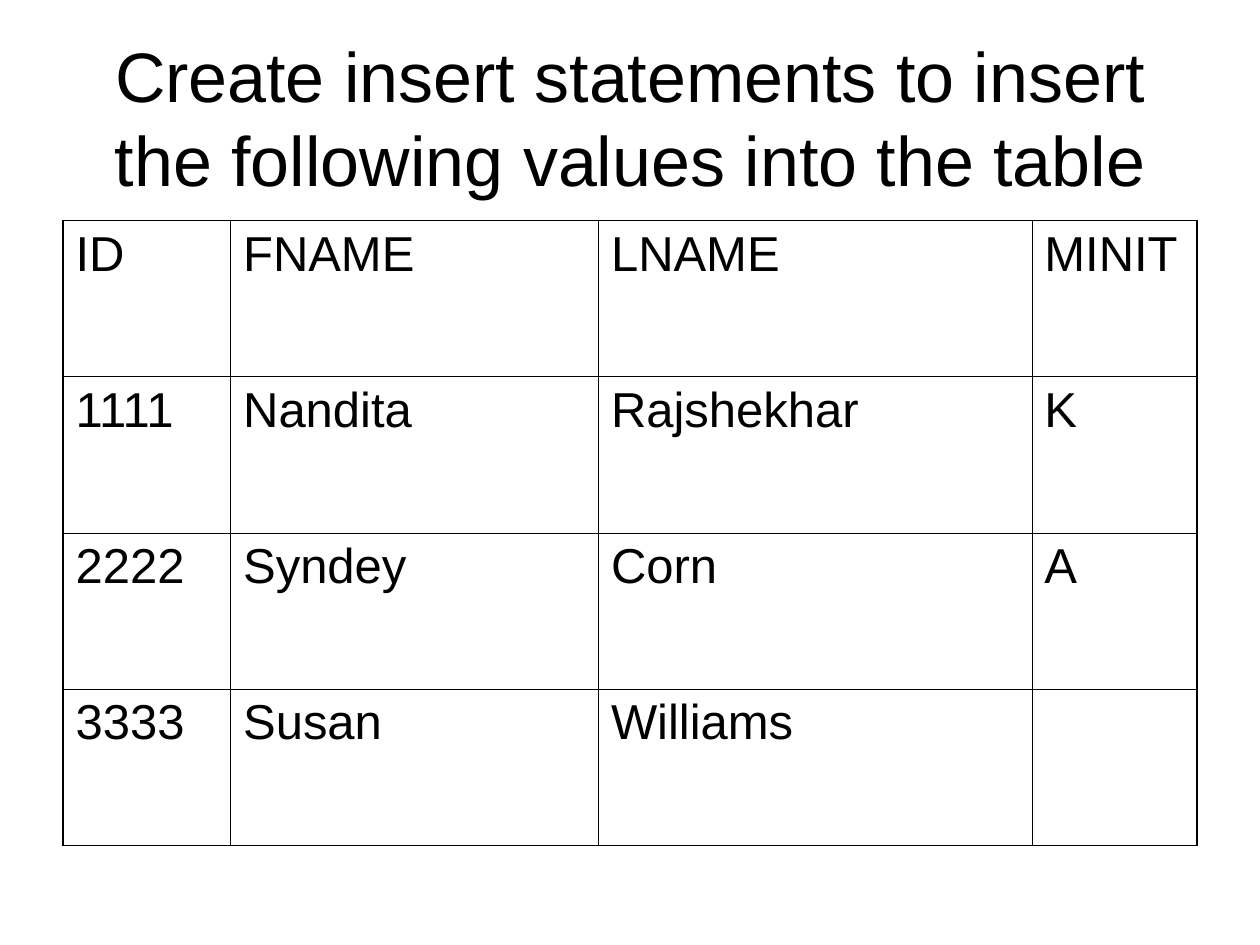
from dataclasses import dataclass

from lxml.etree import SubElement
from pptx import Presentation
from pptx.dml.color import RGBColor
from pptx.enum.text import MSO_ANCHOR, MSO_AUTO_SIZE, PP_ALIGN
from pptx.oxml.ns import qn
from pptx.util import Inches, Pt


@dataclass(frozen=True)
class Theme:
    font: str = "Arial"
    ink: str = "000000"
    title_size: int = 40
    cell_size: int = 28
    outer_line: float = 1.08
    inner_line: float = 0.45


THEME = Theme()
TITLE = "Create insert statements to insert the following values into the table"
ROWS = [
    ("ID", "FNAME", "LNAME", "MINIT"),
    ("1111", "Nandita", "Rajshekhar", "K"),
    ("2222", "Syndey", "Corn", "A"),
    ("3333", "Susan", "Williams", ""),
]
COLUMN_WIDTHS = (1.33, 2.92, 3.44, 1.31)
ROW_HEIGHT = 1.24
MARGIN = 0.5


def style_font(font, size):
    font.name = THEME.font
    font.size = Pt(size)
    font.color.rgb = RGBColor.from_string(THEME.ink)


def add_title(slide):
    title = slide.shapes.title
    title.left, title.top = Inches(MARGIN), Inches(0.3)
    title.width, title.height = Inches(sum(COLUMN_WIDTHS)), Inches(1.25)
    frame = title.text_frame
    frame.text = TITLE
    frame.word_wrap = True
    frame.auto_size = MSO_AUTO_SIZE.NONE
    frame.vertical_anchor = MSO_ANCHOR.MIDDLE
    para = frame.paragraphs[0]
    para.alignment = PP_ALIGN.CENTER
    style_font(para.runs[0].font, THEME.title_size)


def set_borders(cell, outer_sides):
    """Draw all four borders, heavier on the sides at the table's edge."""
    properties = cell._tc.get_or_add_tcPr()
    for side in "LRTB":
        width = THEME.outer_line if side in outer_sides else THEME.inner_line
        line = SubElement(properties, qn(f"a:ln{side}"), w=str(Pt(width)))
        fill = SubElement(line, qn("a:solidFill"))
        SubElement(fill, qn("a:srgbClr"), val=THEME.ink)


def add_value_table(slide):
    row_count, column_count = len(ROWS), len(COLUMN_WIDTHS)
    table = slide.shapes.add_table(
        row_count, column_count, Inches(MARGIN), Inches(1.75),
        Inches(sum(COLUMN_WIDTHS)), Inches(ROW_HEIGHT * row_count),
    ).table
    table.first_row = table.horz_banding = False
    for column, width in zip(table.columns, COLUMN_WIDTHS):
        column.width = Inches(width)
    for row_index, values in enumerate(ROWS):
        table.rows[row_index].height = Inches(ROW_HEIGHT)
        for column_index, value in enumerate(values):
            cell = table.cell(row_index, column_index)
            edges = {
                "L": column_index == 0,
                "R": column_index == column_count - 1,
                "T": row_index == 0,
                "B": row_index == row_count - 1,
            }
            set_borders(cell, [side for side, outer in edges.items() if outer])
            cell.fill.background()
            cell.text_frame.text = value
            for span in cell.text_frame.paragraphs[0].runs:
                style_font(span.font, THEME.cell_size)


def main():
    deck = Presentation()
    deck.slide_width, deck.slide_height = Inches(10), Inches(7.5)
    page = deck.slides.add_slide(deck.slide_layouts[5])
    add_title(page)
    add_value_table(page)
    deck.save("out.pptx")


if __name__ == "__main__":
    main()
